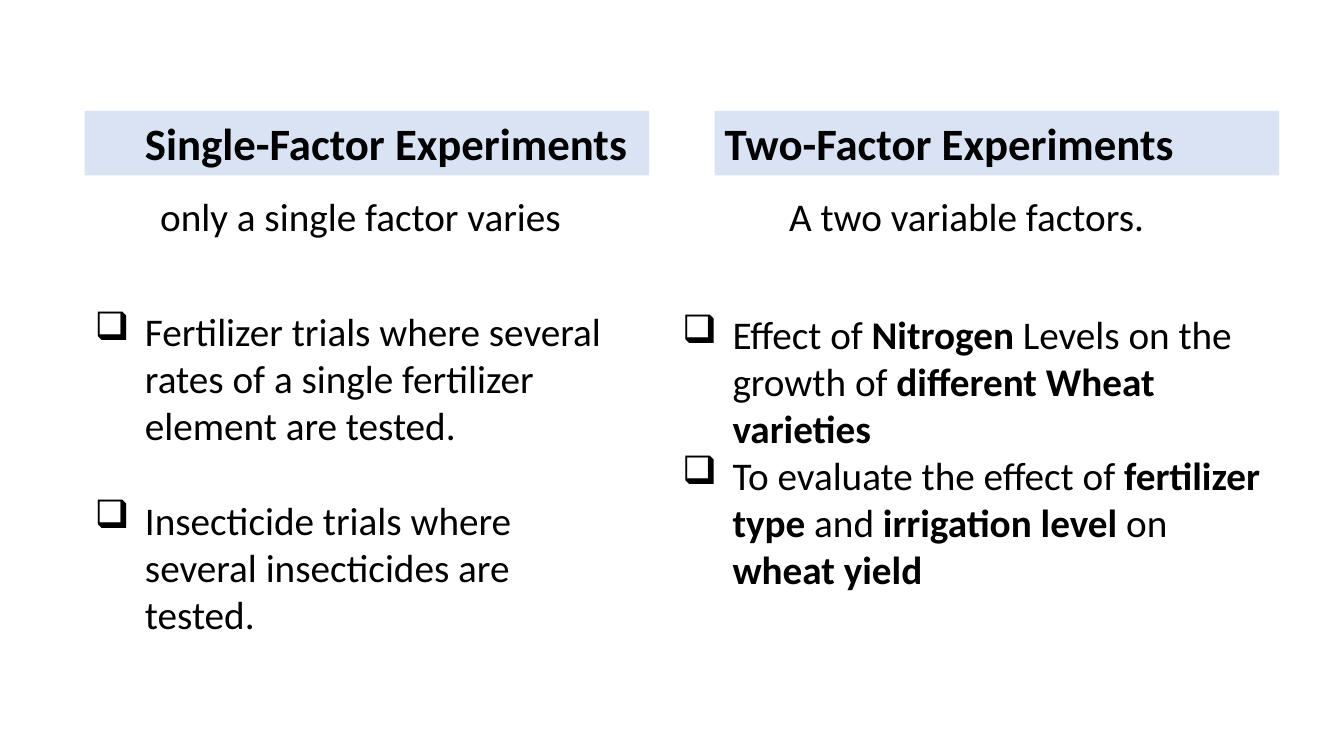
import pptx
import pptx.util
import pptx.dml.color
import pptx.enum.shapes
import pptx.enum.text
import pptx.oxml
import lxml.etree
from pptx.util import Pt

COLUMNS = [
    {
        "heading": "Single-Factor Experiments",
        "heading_left": 60.5,
        "heading_indent": 36,
        "summary": "only a single factor varies",
        "summary_box": (107.3, 133.9, 308.9, 74.9),
        "examples": [
            [("Fertilizer trials where several rates of a single fertilizer element are tested.", False)],
            [("Insecticide trials where several insecticides are tested.", False)],
        ],
        "examples_box": (60.5, 216, 391, 244.8),
        "example_gap": 34,
    },
    {
        "heading": "Two-Factor Experiments",
        "heading_left": 510.5,
        "heading_indent": 0,
        "summary": "A two variable factors.",
        "summary_box": (556.6, 133.9, 403.2, 41),
        "examples": [
            [("Effect of ", False), ("Nitrogen", True),
             (" Levels on the growth of ", False), ("different Wheat varieties", True)],
            [("To evaluate the effect of ", False), ("fertilizer type", True),
             (" and ", False), ("irrigation level", True),
             (" on ", False), ("wheat yield", True)],
        ],
        "examples_box": (480.2, 218.2, 429.1, 211),
        "example_gap": 0,
    },
]

THEME = {
    "font": "Calibri",
    "text": pptx.dml.color.RGBColor.from_string("000000"),
    "band": pptx.dml.color.RGBColor.from_string("DAE3F3"),
    "heading_size": 32,
    "body_size": 28,
    "bullet": "❑",
    "bullet_indent": 36,
}
SLIDE_SIZE = (960, 540)
HEADING_TOP, HEADING_WIDTH, HEADING_HEIGHT = 79.2, 403.2, 46.1


def set_attributes(target, values):
    for name, value in values.items():
        setattr(target, name, value)


def add_runs(paragraph, runs, size):
    for text, bold in runs:
        run = paragraph.add_run()
        run.text = text
        set_attributes(run.font, {"name": THEME["font"], "size": Pt(size), "bold": bold})
        run.font.color.rgb = THEME["text"]


def set_indent(paragraph, left, first=0, bullet=None):
    properties = paragraph._p.get_or_add_pPr()
    properties.set("marL", str(Pt(left)))
    properties.set("indent", str(Pt(first)))
    if bullet:
        mark = lxml.etree.SubElement(properties, pptx.oxml.ns.qn("a:buChar"))
        mark.set("char", bullet)


def prepare_frame(shape, anchor):
    set_attributes(shape.text_frame, {"word_wrap": True, "vertical_anchor": anchor})
    return shape.text_frame


def add_text_box(slide, box):
    shape = slide.shapes.add_textbox(*map(Pt, box))
    return prepare_frame(shape, pptx.enum.text.MSO_ANCHOR.TOP)


def add_heading(slide, column):
    box = (column["heading_left"], HEADING_TOP, HEADING_WIDTH, HEADING_HEIGHT)
    band = slide.shapes.add_shape(pptx.enum.shapes.MSO_SHAPE.RECTANGLE, *map(Pt, box))
    band.shadow.inherit = False
    band.fill.solid()
    band.fill.fore_color.rgb = THEME["band"]
    band.line.fill.background()
    paragraph = prepare_frame(band, pptx.enum.text.MSO_ANCHOR.TOP).paragraphs[0]
    paragraph.alignment = pptx.enum.text.PP_ALIGN.LEFT
    set_indent(paragraph, column["heading_indent"])
    add_runs(paragraph, [(column["heading"], True)], THEME["heading_size"])


def add_examples(slide, column):
    frame = add_text_box(slide, column["examples_box"])
    for index, runs in enumerate(column["examples"]):
        paragraph = frame.add_paragraph() if index else frame.paragraphs[0]
        paragraph.space_before = Pt(column["example_gap"] if index else 0)
        set_indent(paragraph, THEME["bullet_indent"], -THEME["bullet_indent"], THEME["bullet"])
        add_runs(paragraph, runs, THEME["body_size"])


def main():
    presentation = pptx.Presentation()
    width, height = map(Pt, SLIDE_SIZE)
    set_attributes(presentation, {"slide_width": width, "slide_height": height})
    slide = presentation.slides.add_slide(presentation.slide_layouts[6])
    for column in COLUMNS:
        add_heading(slide, column)
        summary = add_text_box(slide, column["summary_box"])
        add_runs(summary.paragraphs[0], [(column["summary"], False)], THEME["body_size"])
        add_examples(slide, column)
    presentation.save("out.pptx")


if __name__ == "__main__":
    main()
